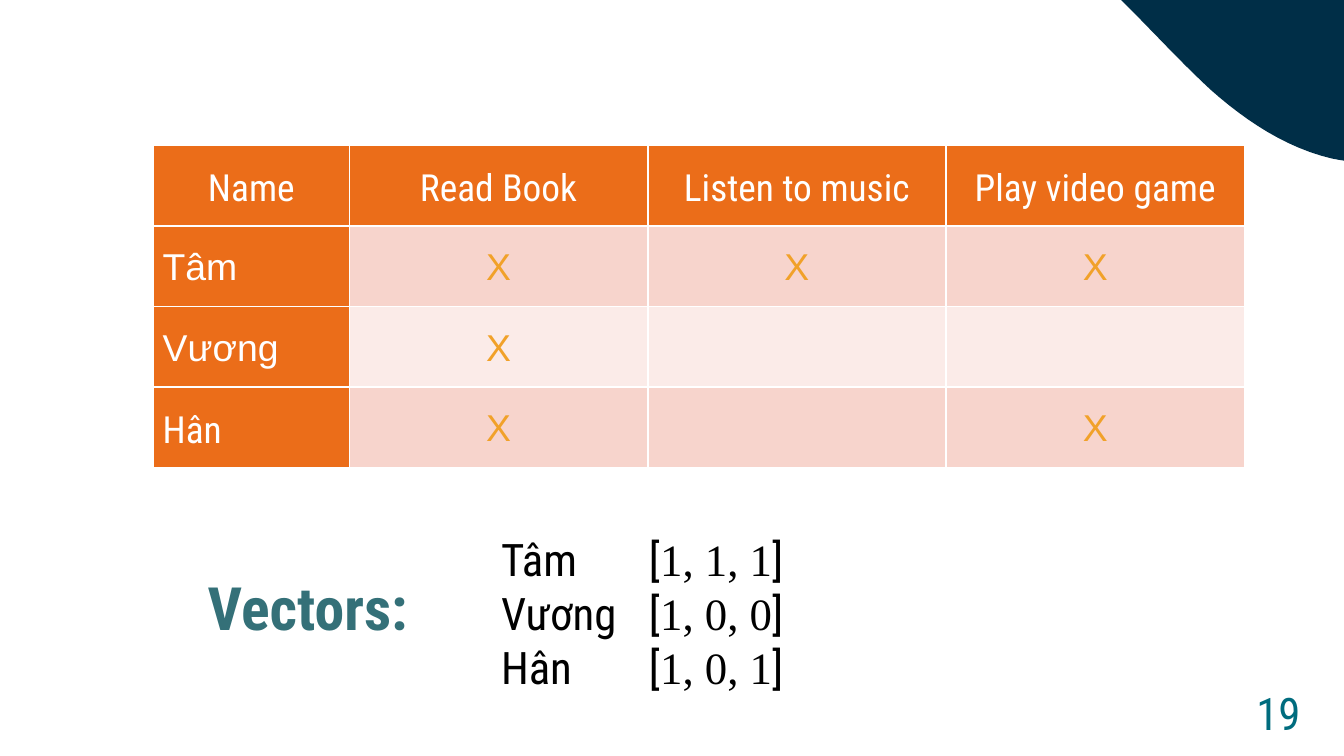
import pptx
import pptx.util
import pptx.dml.color
import pptx.enum.text
import pptx.oxml
from pptx.oxml.ns import nsdecls
from pptx.util import Inches

COLORS = {
    "navy": "002E47", "teal": "006C7E", "heading": "347078", "heading_line": "10484F",
    "orange": "EB6D19", "mark": "F1A129", "band_dark": "F7D4CC", "band_light": "FBEBE8",
    "white": "FFFFFF", "black": "000000",
}
HEADING_FONT = "Roboto Condensed"
ALIGN = pptx.enum.text.PP_ALIGN


def rgb(name):
    return pptx.dml.color.RGBColor.from_string(COLORS[name])


def format_run(run, size, color, font=HEADING_FONT, bold=False):
    run.font.size = pptx.util.Pt(size)
    run.font.name = font
    run.font.bold = bold
    run.font.color.rgb = rgb(color)


# Widescreen slide, 16:9
presentation = pptx.Presentation()
presentation.slide_width = Inches(10)
presentation.slide_height = Inches(10) * 9 // 16
slide = presentation.slides.add_slide(presentation.slide_layouts[5])

# Corner wave: Bezier segments sampled into short lines
wave_segments = [
    [(10.75, 1.1), (10.58, 1.17), (10.39, 1.21), (10.21, 1.21)],
    [(10.21, 1.21), (10.11, 1.21), (10.01, 1.2), (9.91, 1.18)],
    [(9.91, 1.18), (9.57, 1.1), (9.27, 0.9), (9.01, 0.67)],
    [(9.01, 0.67), (8.75, 0.43), (8.52, 0.17), (8.26, -0.08)],
    [(8.26, -0.08), (8.22, -0.12), (8.18, -0.16), (8.14, -0.2)],
]
STEPS = 12
wave_points = [(10.75, 1.1)]
for segment in wave_segments:
    for step in range(1, STEPS + 1):
        t = step / STEPS
        weights = [(1 - t) ** 3, 3 * t * (1 - t) ** 2, 3 * t ** 2 * (1 - t), t ** 3]
        wave_points.append(tuple(
            sum(weight * point[axis] for weight, point in zip(weights, segment))
            for axis in (0, 1)))
builder = slide.shapes.build_freeform(Inches(10.75), Inches(-0.2))
builder.add_line_segments([(Inches(x), Inches(y)) for x, y in wave_points], close=True)
wave = builder.convert_to_shape()
wave.shadow.inherit = False
wave.fill.solid()
wave.fill.fore_color.rgb = rgb("navy")
wave.line.fill.background()

# Slide number
number_box = slide.shapes.add_textbox(Inches(9.25), Inches(5.05), Inches(0.54), Inches(0.5))
number_box.text_frame.word_wrap = False
number_box.text_frame.text = "19"
format_run(number_box.text_frame.paragraphs[0].runs[0], 24, "teal")

# Table of hobbies
rows = [
    ["Name", "Read Book", "Listen to music", "Play video game"],
    ["Tâm", "X", "X", "X"],
    ["Vương", "X", "", ""],
    ["Hân", "X", "", "X"],
]
table = slide.shapes.add_table(
    4, 4, Inches(1.14), Inches(1.08), Inches(8.12), Inches(2.4)).table
for column, width in zip(table.columns, [1.46, 2.22, 2.22, 2.22]):
    column.width = Inches(width)
for row_index, row in enumerate(rows):
    table.rows[row_index].height = Inches(0.6)
    for column_index, text in enumerate(row):
        cell = table.cell(row_index, column_index)
        is_header = row_index == 0 or column_index == 0
        cell.margin_left = cell.margin_right = Inches(0.07)
        cell.margin_top = cell.margin_bottom = 0
        for side in ("lnL", "lnR", "lnT", "lnB"):
            cell._tc.get_or_add_tcPr().append(pptx.oxml.parse_xml(
                f'<a:{side} {nsdecls("a")} w="12700"><a:solidFill>'
                f'<a:srgbClr val="{COLORS["white"]}"/></a:solidFill></a:{side}>'))
        cell.fill.solid()
        band = "band_dark" if row_index % 2 else "band_light"
        cell.fill.fore_color.rgb = rgb("orange" if is_header else band)
        if text:
            cell.text_frame.text = text
            paragraph = cell.text_frame.paragraphs[0]
            paragraph.line_spacing = 1.5
            is_name = row_index > 0 and column_index == 0
            paragraph.alignment = ALIGN.JUSTIFY if is_name else ALIGN.CENTER
            font = HEADING_FONT if row_index == 0 or text == "Hân" else "Arial"
            format_run(paragraph.runs[0], 20, "white" if is_header else "mark", font)

# Vectors, lined up with a tab stop
vectors = [("Tâm", "1, 1, 1"), ("Vương", "1, 0, 0"), ("Hân", "1, 0, 1")]
vector_box = slide.shapes.add_textbox(Inches(3.63), Inches(3.91), Inches(4), Inches(1.72))
vector_frame = vector_box.text_frame
vector_frame.word_wrap = True
for index, (name, values) in enumerate(vectors):
    paragraph = vector_frame.add_paragraph() if index else vector_frame.paragraphs[0]
    paragraph._p.get_or_add_pPr().append(pptx.oxml.parse_xml(
        f'<a:tabLst {nsdecls("a")}><a:tab pos="{Inches(1.1)}" algn="l"/></a:tabLst>'))
    for text, font in [(f"{name}\t[", HEADING_FONT), (values, "Times New Roman"),
                       ("]", HEADING_FONT)]:
        run = paragraph.add_run()
        run.text = text
        format_run(run, 24, "black", font)

# Title
title = slide.shapes.title
title.left, title.top = Inches(1.14), Inches(4.07)
title.width, title.height = Inches(2.3), Inches(0.38)
title_frame = title.text_frame
title_frame.text = "Vectors:"
title_frame.word_wrap = True
title_frame.auto_size = pptx.enum.text.MSO_AUTO_SIZE.NONE
title_frame.vertical_anchor = pptx.enum.text.MSO_ANCHOR.TOP
title_frame.margin_left = title_frame.margin_right = Inches(0.1)
title_frame.margin_top = title_frame.margin_bottom = Inches(0.1)
paragraph = title_frame.paragraphs[0]
paragraph.alignment = ALIGN.CENTER
paragraph.line_spacing = 1.15
paragraph.space_after = pptx.util.Pt(16)
format_run(paragraph.runs[0], 32, "heading", bold=True)
paragraph.runs[0]._r.get_or_add_rPr().insert(0, pptx.oxml.parse_xml(
    f'<a:ln {nsdecls("a")} w="9525"><a:solidFill>'
    f'<a:srgbClr val="{COLORS["heading_line"]}"/></a:solidFill></a:ln>'))

presentation.save("out.pptx")
